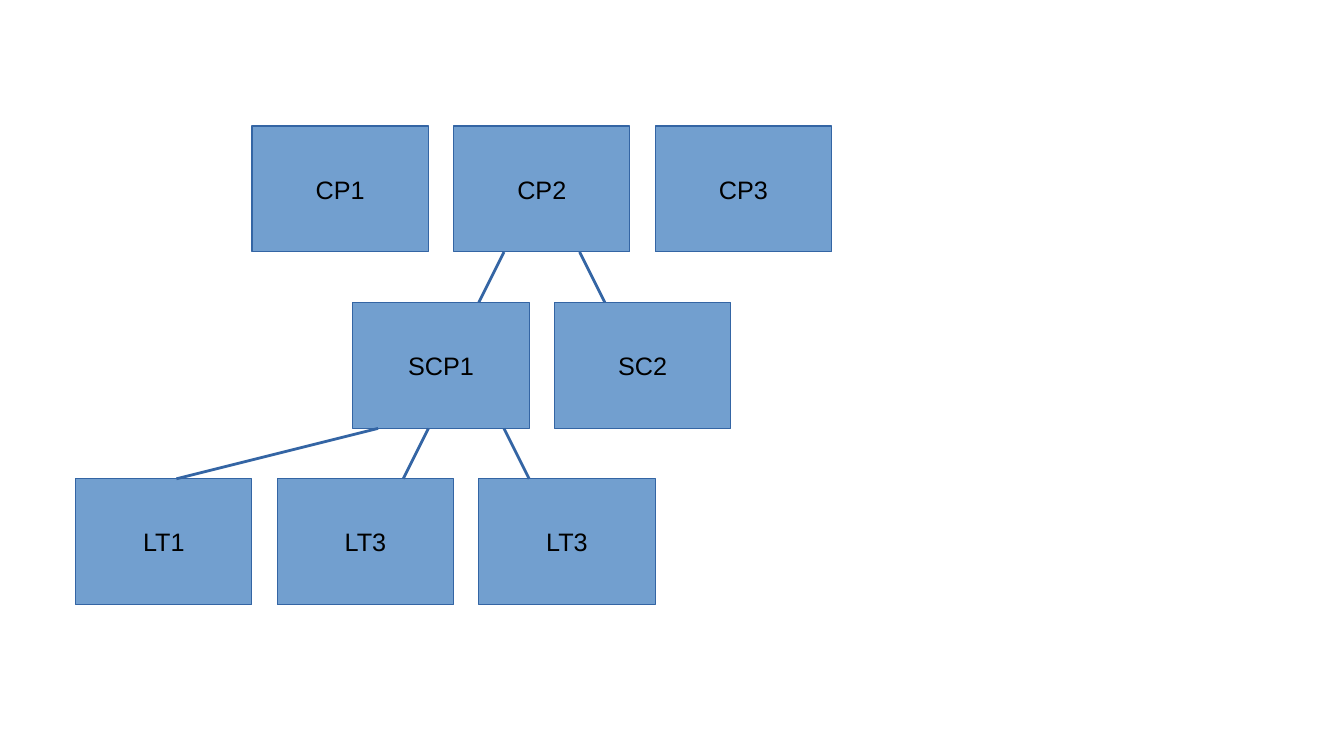
from lxml.etree import SubElement
from pptx import Presentation
from pptx.dml.color import RGBColor
from pptx.enum.shapes import MSO_CONNECTOR as Connector, MSO_SHAPE as Shape
from pptx.enum.text import MSO_ANCHOR as Anchor, PP_ALIGN as Align
from pptx.oxml.ns import qn
from pptx.util import Pt

BOX_WIDTH, BOX_HEIGHT = 126, 90
COLUMN_STEP, ROW_STEP = 144, 126
FIRST_TOP = 90
LEVELS = [
    (180, ["CP1", "CP2", "CP3"]),
    (252, ["SCP1", "SC2"]),
    (54, ["LT1", "LT3", "LT3"]),
]
LINKS = [
    (0, 360, 342),
    (0, 414, 432),
    (1, 306, 288),
    (1, 360, 378),
    (1, 270, 126),
]


def color(value):
    return RGBColor.from_string(value)


def write_text(shape, text, font="Arial", size=18, fill="000000",
               align=Align.CENTER, anchor=Anchor.MIDDLE):
    frame = shape.text_frame
    frame.word_wrap = True
    frame.vertical_anchor = anchor
    paragraph = frame.paragraphs[0]
    paragraph.alignment = align
    run = paragraph.add_run()
    run.text = text
    run.font.name = font
    run.font.size = Pt(size)
    run.font.color.rgb = color(fill)


class TreeDiagram:
    box_fill = "729FCF"
    outline = "3465A4"
    outline_width = 0

    def __init__(self, slide):
        self.slide = slide

    def style_line(self, line):
        line.color.rgb = color(self.outline)
        line.width = Pt(self.outline_width)

    def box(self, text, left, top):
        shape = self.slide.shapes.add_shape(
            Shape.RECTANGLE, Pt(left), Pt(top), Pt(BOX_WIDTH), Pt(BOX_HEIGHT))
        shape.shadow.inherit = False
        shape.fill.solid()
        shape.fill.fore_color.rgb = color(self.box_fill)
        self.style_line(shape.line)
        write_text(shape, text)

    def link(self, start_x, start_y, end_x, end_y):
        connector = self.slide.shapes.add_connector(
            Connector.STRAIGHT, Pt(start_x), Pt(start_y), Pt(end_x), Pt(end_y))
        self.style_line(connector.line)
        SubElement(connector._element.spPr, qn("a:effectLst"))


def main():
    presentation = Presentation()
    presentation.slide_width = Pt(960)
    presentation.slide_height = Pt(540)
    slide = presentation.slides.add_slide(presentation.slide_layouts[6])
    diagram = TreeDiagram(slide)

    for row, (first_left, labels) in enumerate(LEVELS):
        for column, label in enumerate(labels):
            diagram.box(label, first_left + column * COLUMN_STEP,
                        FIRST_TOP + row * ROW_STEP)

    for row, parent_x, child_x in LINKS:
        top = FIRST_TOP + row * ROW_STEP
        diagram.link(parent_x, top + BOX_HEIGHT, child_x, top + ROW_STEP)

    presentation.save("out.pptx")


if __name__ == "__main__":
    main()
